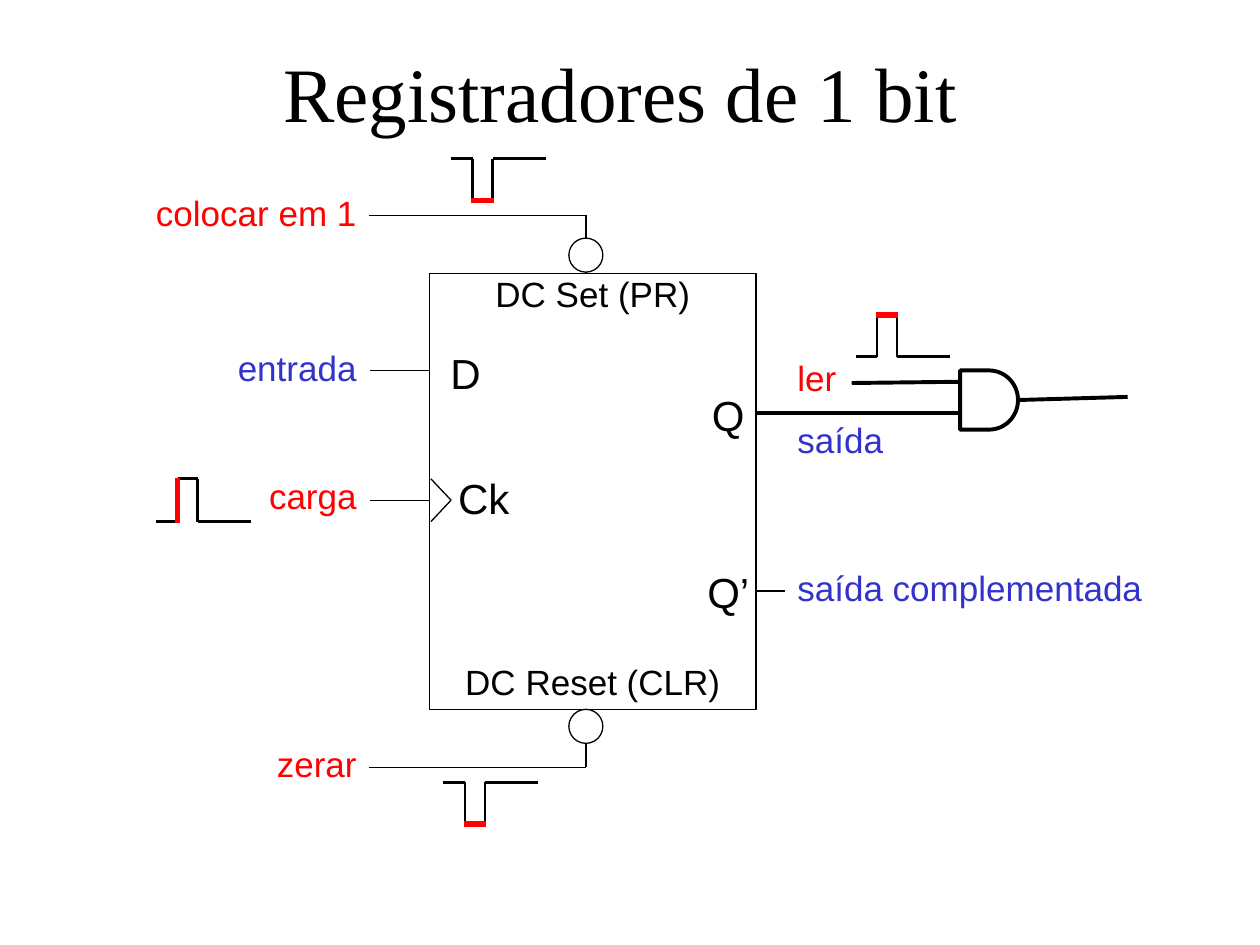
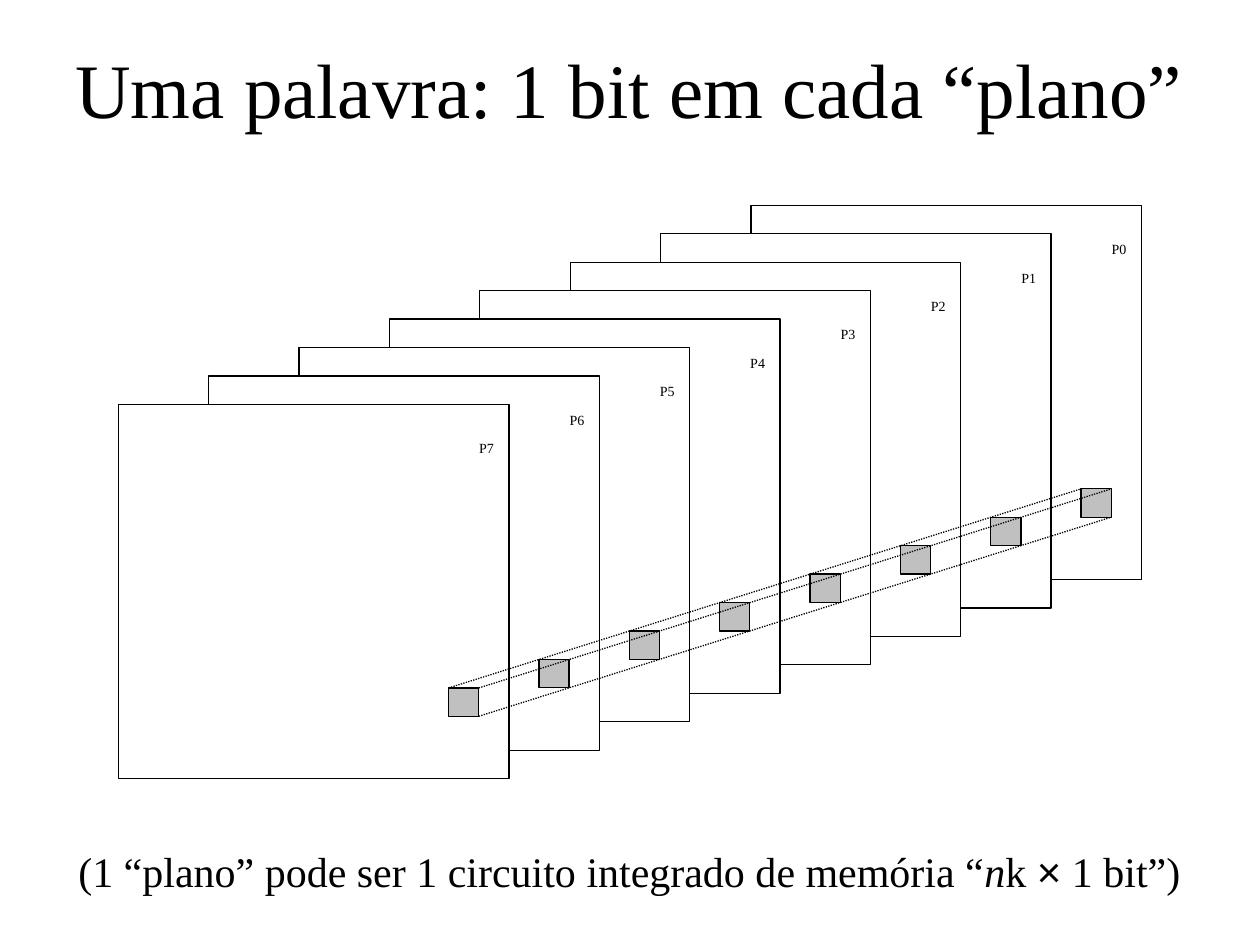
from dataclasses import dataclass

from lxml.etree import SubElement
from pptx import Presentation
from pptx.dml.color import RGBColor
from pptx.enum.dml import MSO_LINE
from pptx.enum.shapes import MSO_CONNECTOR, MSO_SHAPE
from pptx.enum.text import MSO_ANCHOR, MSO_AUTO_SIZE, PP_ALIGN
from pptx.oxml.ns import qn
from pptx.util import Inches, Pt

COLUMNS, ROWS = 100, 75
SLIDE_WIDTH, SLIDE_HEIGHT = Inches(10), Inches(7.5)


@dataclass(frozen=True)
class Theme:
    ink: str = "000000"
    paper: str = "FFFFFF"
    control: str = "FF0101"
    data: str = "3333CC"
    bit: str = "C0C0C0"
    serif: str = "Times New Roman"
    sans: str = "Arial"
    title: int = 44
    large: int = 24
    label: int = 20
    small: int = 8
    thin: float = 0.75
    pulse: float = 1.5
    bold: float = 2.25
    mark: float = 3


THEME = Theme()


@dataclass(frozen=True)
class Box:
    left: float
    top: float
    width: float
    height: float

    def inner(self, left, top, width, height):
        return Box(self.left + left, self.top + top, width, height)

    def point(self, column, row):
        return self.left + column, self.top + row

    def emu(self):
        return (*to_emu(self.left, self.top), *to_emu(self.width, self.height))


def to_emu(column, row):
    return round(SLIDE_WIDTH * column / COLUMNS), round(SLIDE_HEIGHT * row / ROWS)


def color(code):
    return RGBColor.from_string(code)


def write(frame, runs, size, align, ink=THEME.ink):
    frame.word_wrap = True
    frame.auto_size = MSO_AUTO_SIZE.NONE
    paragraph = frame.paragraphs[0]
    paragraph.alignment = align
    for words, face, italic in runs:
        run = paragraph.add_run()
        run.text = words
        run.font.name = face
        run.font.size = Pt(size)
        run.font.italic = italic
        run.font.color.rgb = color(ink)


def add_label(shapes, box, words, size=THEME.label, align=PP_ALIGN.CENTER, ink=THEME.ink):
    label = shapes.add_textbox(*box.emu())
    write(label.text_frame, [(words, THEME.sans, False)], size, align, ink)


def add_figure(shapes, kind, box, fill=None, weight=THEME.thin):
    figure = shapes.add_shape(kind, *box.emu())
    figure.shadow.inherit = False
    if fill:
        figure.fill.solid()
        figure.fill.fore_color.rgb = color(fill)
    else:
        figure.fill.background()
    if weight:
        figure.line.color.rgb = color(THEME.ink)
        figure.line.width = Pt(weight)
    else:
        figure.line.fill.background()
    return figure


def add_wire(shapes, start, end, weight=THEME.thin, ink=THEME.ink, dash=None):
    wire = shapes.add_connector(MSO_CONNECTOR.STRAIGHT, *to_emu(*start), *to_emu(*end))
    wire.line.color.rgb = color(ink)
    wire.line.width = Pt(weight)
    if dash:
        wire.line.dash_style = dash
    SubElement(wire._element.spPr, qn("a:effectLst"))
    return wire


def add_titled_slide(deck, box, words):
    slide = deck.slides.add_slide(deck.slide_layouts[5])
    title = slide.shapes.title
    title.left, title.top, title.width, title.height = box.emu()
    title.text_frame.vertical_anchor = MSO_ANCHOR.MIDDLE
    write(title.text_frame, [(words, THEME.serif, False)], THEME.title, PP_ALIGN.CENTER)
    return slide


def add_pulse(slide, box, active_high=True, mark_edge=False):
    shapes = slide.shapes.add_group_shape().shapes
    rise, fall = 1.7, 3.3
    rest, active = (box.height, 0) if active_high else (0, box.height)
    edge = (rise, rest), (rise, active)
    plateau = (rise, active), (fall, active)
    plain, marked = (plateau, edge) if mark_edge else (edge, plateau)
    segments = [
        ((0, rest), (rise, rest)),
        ((fall, rest), (box.width, rest)),
        ((fall, rest), (fall, active)),
        plain,
    ]
    for start, end in segments:
        add_wire(shapes, box.point(*start), box.point(*end), THEME.pulse)
    (x1, y1), (x2, y2) = marked
    reach_x, reach_y = (0, 0.1) if mark_edge else (0.1, 0)
    add_wire(shapes, box.point(x1 - reach_x, y1 + reach_y),
             box.point(x2 + reach_x, y2 - reach_y), THEME.mark, THEME.control)


def add_flip_flop(slide, box):
    shapes = slide.shapes
    add_figure(shapes, MSO_SHAPE.RECTANGLE, box)
    for words, left, top in [("D", -0.55, 5.4), ("Ck", 0.9, 15.3),
                             ("Q", 20.3, 8.7), ("Q’", 20.3, 22.8)]:
        add_label(shapes, box.inner(left, top, 6.8, 5), words, THEME.large)
    add_label(shapes, box.inner(0, -0.6, box.width, 4.4), "DC Set (PR)")
    add_label(shapes, box.inner(0, box.height - 4.4, box.width, 4.4), "DC Reset (CLR)")
    for row in (7.7, 18):
        add_wire(shapes, box.point(0, row), box.point(-4.7, row))
    for row in (11.2, 25.2):
        add_wire(shapes, box.point(box.width, row), box.point(box.width + 2.3, row))
    for row in (16.3, 19.7):
        add_wire(shapes, box.point(1.7, 18), box.point(0.1, row))


def add_direct_control(slide, box, edge, outward):
    bubble, lead, column = 2.7, 4.6, 12.4
    bend = edge + outward * lead
    add_wire(slide.shapes, box.point(column, edge), box.point(column, bend))
    add_wire(slide.shapes, box.point(column, bend), box.point(-4.8, bend))
    top = edge if outward > 0 else edge - bubble - 0.1
    add_figure(slide.shapes, MSO_SHAPE.OVAL,
               box.inner(column - bubble / 2, top, bubble, bubble), THEME.paper)


def add_signal_names(slide, box):
    for words, row, ink in [("colocar em 1", -7, THEME.control),
                            ("entrada", 5.3, THEME.data),
                            ("carga", 15.5, THEME.control),
                            ("zerar", 36.7, THEME.control)]:
        add_label(slide.shapes, box.inner(-24.8, row, 20, 4.4), words,
                  align=PP_ALIGN.RIGHT, ink=ink)
    for words, row, ink in [("ler", 6.1, THEME.control),
                            ("saída", 11, THEME.data),
                            ("saída complementada", 22.8, THEME.data)]:
        add_label(slide.shapes, box.inner(28.2, row, 31.4, 4.4), words,
                  align=PP_ALIGN.LEFT, ink=ink)


def add_read_gate(slide, box):
    gate = add_figure(slide.shapes, MSO_SHAPE.FLOWCHART_DELAY, box, THEME.paper, THEME.bold)
    add_wire(slide.shapes, box.point(-16.2, 3.4), box.point(0, 3.4), THEME.bold)
    add_wire(slide.shapes, box.point(-8.6, 1), box.point(0, 0.9), THEME.bold)
    output = add_wire(slide.shapes, box.point(box.width, box.height / 2),
                      box.point(13.3, 2.1), THEME.bold)
    output.begin_connect(gate, 3)


def build_register_slide(deck):
    slide = add_titled_slide(deck, Box(7.5, 1, 85, 12.5), "Registradores de 1 bit ")
    register = Box(34.1, 21.7, 25.9, 34.6)
    add_flip_flop(slide, register)
    add_direct_control(slide, register, 0, -1)
    add_direct_control(slide, register, register.height, 1)
    add_signal_names(slide, register)
    add_read_gate(slide, Box(76.2, 29.4, 4.6, 4.7))
    add_pulse(slide, Box(12.4, 38, 7.5, 3.4), mark_edge=True)
    add_pulse(slide, Box(67.9, 25, 7.5, 3.3))
    for left, top in [(35.8, 12.6), (35.2, 62.1)]:
        add_pulse(slide, Box(left, top, 7.5, 3.3), active_high=False)


def add_bit_planes(slide, box, count=8):
    shapes = slide.shapes.add_group_shape().shapes
    plane_width, plane_height = 31, 29.7
    step_x = (box.width - plane_width) / (count - 1)
    step_y = (box.height - plane_height) / (count - 1)
    planes = [box.inner((count - 1 - index) * step_x, index * step_y,
                        plane_width, plane_height) for index in range(count)]
    bits = [plane.inner(26.2, 22.5, 2.4, 2.25) for plane in planes]
    for index, plane in enumerate(planes):
        add_figure(shapes, MSO_SHAPE.RECTANGLE, plane, THEME.paper)
        name = add_figure(shapes, MSO_SHAPE.RECTANGLE, plane.inner(21.2, 2.3, 9.6, 4.5),
                          THEME.paper, None)
        name.text_frame.vertical_anchor = MSO_ANCHOR.TOP
        write(name.text_frame, [(f"P{index}", THEME.serif, False)],
              THEME.small, PP_ALIGN.RIGHT)
    for bit in bits:
        add_figure(shapes, MSO_SHAPE.RECTANGLE, bit, THEME.bit)
    back, front = bits[0], bits[-1]
    for corner in [(0, 0), (front.width, front.height), (front.width, 0)]:
        add_wire(shapes, front.point(*corner), back.point(*corner),
                 dash=MSO_LINE.ROUND_DOT)


def add_footnote(slide, box):
    note = slide.shapes.add_textbox(*box.emu())
    runs = [
        ("(1 “plano” pode ser 1 circuito integrado de memória “", THEME.serif, False),
        ("n", THEME.serif, True),
        ("k ", THEME.serif, False),
        ("×", THEME.sans, False),
        (" 1 bit”)", THEME.serif, False),
    ]
    write(note.text_frame, runs, THEME.large, PP_ALIGN.CENTER)


def build_word_slide(deck):
    slide = add_titled_slide(deck, Box(3.7, 0.7, 92.5, 12.5),
                             "Uma palavra: 1 bit em cada “plano”")
    add_bit_planes(slide, Box(9.4, 16.3, 81.2, 45.5))
    add_footnote(slide, Box(5, 66.6, 89.9, 9))


def main():
    deck = Presentation()
    deck.slide_width, deck.slide_height = SLIDE_WIDTH, SLIDE_HEIGHT
    build_register_slide(deck)
    build_word_slide(deck)
    deck.save("out.pptx")


if __name__ == "__main__":
    main()
